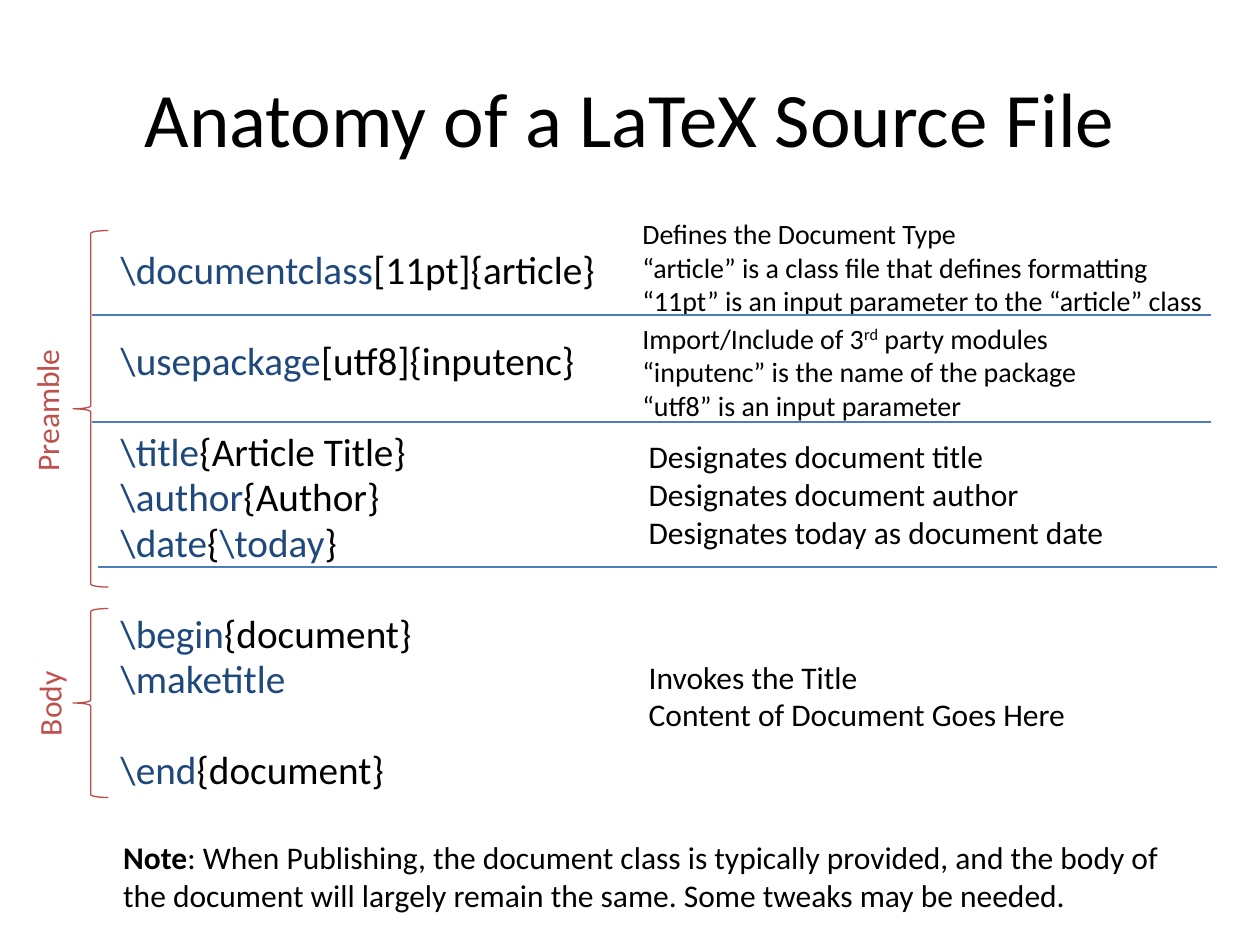
"""Build a slide that explains the parts of a LaTeX source file."""
import dataclasses
import typing

import lxml.etree
import pptx
import pptx.dml.color
import pptx.enum.shapes
import pptx.enum.text
import pptx.oxml.ns
import pptx.util

Inches = pptx.util.Inches
Pt = pptx.util.Pt
RGBColor = pptx.dml.color.RGBColor

BLACK = RGBColor(0x00, 0x00, 0x00)
NAVY = RGBColor(0x1F, 0x49, 0x7D)
RULE_BLUE = RGBColor(0x4A, 0x7D, 0xBA)
BRACE_RED = RGBColor(0xBD, 0x4B, 0x48)
LABEL_RED = RGBColor(0xC0, 0x50, 0x4D)
FONT = "Calibri"
CODE_SPACING = Pt(4.5)
BLOCK_SPACING = Pt(30.5)


@dataclasses.dataclass(frozen=True)
class Span:
    text: str
    color: RGBColor = BLACK
    bold: bool = False
    raised: bool = False


@dataclasses.dataclass(frozen=True)
class Line:
    spans: tuple[Span, ...]
    starts_block: bool = False


@dataclasses.dataclass(frozen=True)
class Explanation:
    box: tuple[float, float, float, float]
    size: float
    lines: tuple[Line, ...]


@dataclasses.dataclass(frozen=True)
class Section:
    name: str
    brace_top: float
    brace_height: float
    label_box: tuple[float, float, float, float]


def plain(text: str) -> Line:
    return Line((Span(text),))


def command(name: str, argument: str = "", starts_block: bool = False) -> Line:
    return Line((Span(name, NAVY), Span(argument)) if argument else (Span(name, NAVY),), starts_block)


CODE = (
    command("\\documentclass", "[11pt]{article}"),
    command("\\usepackage", "[utf8]{inputenc}", True),
    command("\\title", "{Article Title}", True),
    command("\\author", "{Author}"),
    Line((Span("\\date", NAVY), Span("{"), Span("\\today", NAVY), Span("}"))),
    command("\\begin", "{document}", True),
    command("\\maketitle"),
    command("\\end", "{document}", True),
)

EXPLANATIONS = (
    Explanation((5, 1.67, 4.76, 0.91), 16, (
        plain("Defines the Document Type"),
        plain("“article” is a class file that defines formatting"),
        plain("“11pt” is an input parameter to the “article” class"),
    )),
    Explanation((5, 2.5, 4.67, 0.91), 16, (
        Line((Span("Import/Include of 3"), Span("rd", raised=True), Span(" party modules"))),
        plain("“inputenc” is the name of the package"),
        plain("“utf8” is an input parameter"),
    )),
    Explanation((5.05, 3.42, 4.33, 1.01), 18, (
        plain("Designates document title"),
        plain("Designates document author"),
        plain("Designates today as document date"),
    )),
    Explanation((5.05, 5.17, 3.55, 0.71), 18, (
        plain("Invokes the Title"),
        plain("Content of Document Goes Here"),
    )),
    Explanation((0.88, 6.6, 8.53, 0.71), 18, (
        Line((
            Span("Note", bold=True),
            Span(": When Publishing, the document class is typically provided, and the body of "
                 "the document will largely remain the same. Some tweaks may be needed."),
        )),
    )),
)

SECTIONS = (
    Section("Preamble", 1.83, 2.83, (-0.22, 3.05, 1.18, 0.4)),
    Section("Body", 4.83, 1.5, (0.03, 5.38, 0.72, 0.4)),
)

DIVIDERS = ((0.73, 2.5), (0.73, 3.35), (0.78, 4.5))
DIVIDER_LENGTH = 8.88


def apply_format(target: typing.Any, values: dict[str, typing.Any]) -> None:
    for attribute, value in values.items():
        setattr(target, attribute, value)


def write_line(paragraph: typing.Any, line: Line, size: float) -> None:
    for span in line.spans:
        run = paragraph.add_run()
        run.text = span.text
        apply_format(run.font, {"name": FONT, "size": Pt(size), "bold": span.bold})
        run.font.color.rgb = span.color
        if span.raised:
            run._r.get_or_add_rPr().set("baseline", "30000")


def add_text(slide: typing.Any, box: tuple[float, float, float, float], lines: tuple[Line, ...],
             size: float, wrap: bool = True) -> typing.Any:
    text_box = slide.shapes.add_textbox(*map(Inches, box))
    frame = text_box.text_frame
    frame.word_wrap = wrap
    for index, line in enumerate(lines):
        write_line(frame.add_paragraph() if index else frame.paragraphs[0], line, size)
    return text_box


def add_code(slide: typing.Any) -> None:
    listing = add_text(slide, (0.86, 1.97, 4.5, 4.95), CODE, 22.4)
    for index, (paragraph, line) in enumerate(zip(listing.text_frame.paragraphs, CODE)):
        paragraph.line_spacing = 0.8
        if index:
            paragraph.space_before = BLOCK_SPACING if line.starts_block else CODE_SPACING


def add_divider(slide: typing.Any, left: float, top: float) -> None:
    divider = slide.shapes.add_connector(
        pptx.enum.shapes.MSO_CONNECTOR.STRAIGHT,
        Inches(left), Inches(top), Inches(left + DIVIDER_LENGTH), Inches(top))
    divider.line.color.rgb = RULE_BLUE
    divider.line.width = Pt(0.75)
    lxml.etree.SubElement(divider._element.spPr, pptx.oxml.ns.qn("a:effectLst"))


def add_section(slide: typing.Any, section: Section) -> None:
    brace = slide.shapes.add_shape(
        pptx.enum.shapes.MSO_SHAPE.LEFT_BRACE, Inches(0.58), Inches(section.brace_top),
        Inches(0.28), Inches(section.brace_height))
    brace.shadow.inherit = False
    brace.fill.background()
    brace.line.color.rgb = BRACE_RED
    brace.line.width = Pt(0.75)
    label = add_text(slide, section.label_box, (Line((Span(section.name, LABEL_RED),)),), 18, False)
    label.rotation = 270


def add_title(slide: typing.Any) -> None:
    title = slide.shapes.title
    apply_format(title, {"left": Inches(0.5), "top": Inches(0.3),
                         "width": Inches(9), "height": Inches(1.25)})
    title.text_frame.vertical_anchor = pptx.enum.text.MSO_ANCHOR.MIDDLE
    heading = title.text_frame.paragraphs[0]
    heading.alignment = pptx.enum.text.PP_ALIGN.CENTER
    write_line(heading, plain("Anatomy of a LaTeX Source File"), 44)


def main() -> None:
    deck = pptx.Presentation()
    apply_format(deck, {"slide_width": Inches(10), "slide_height": Inches(7.5)})
    slide = deck.slides.add_slide(deck.slide_layouts.get_by_name("Title Only"))
    add_title(slide)
    add_code(slide)
    for explanation in EXPLANATIONS:
        add_text(slide, explanation.box, explanation.lines, explanation.size)
    for left, top in DIVIDERS:
        add_divider(slide, left, top)
    for section in SECTIONS:
        add_section(slide, section)
    deck.save("out.pptx")


if __name__ == "__main__":
    main()
